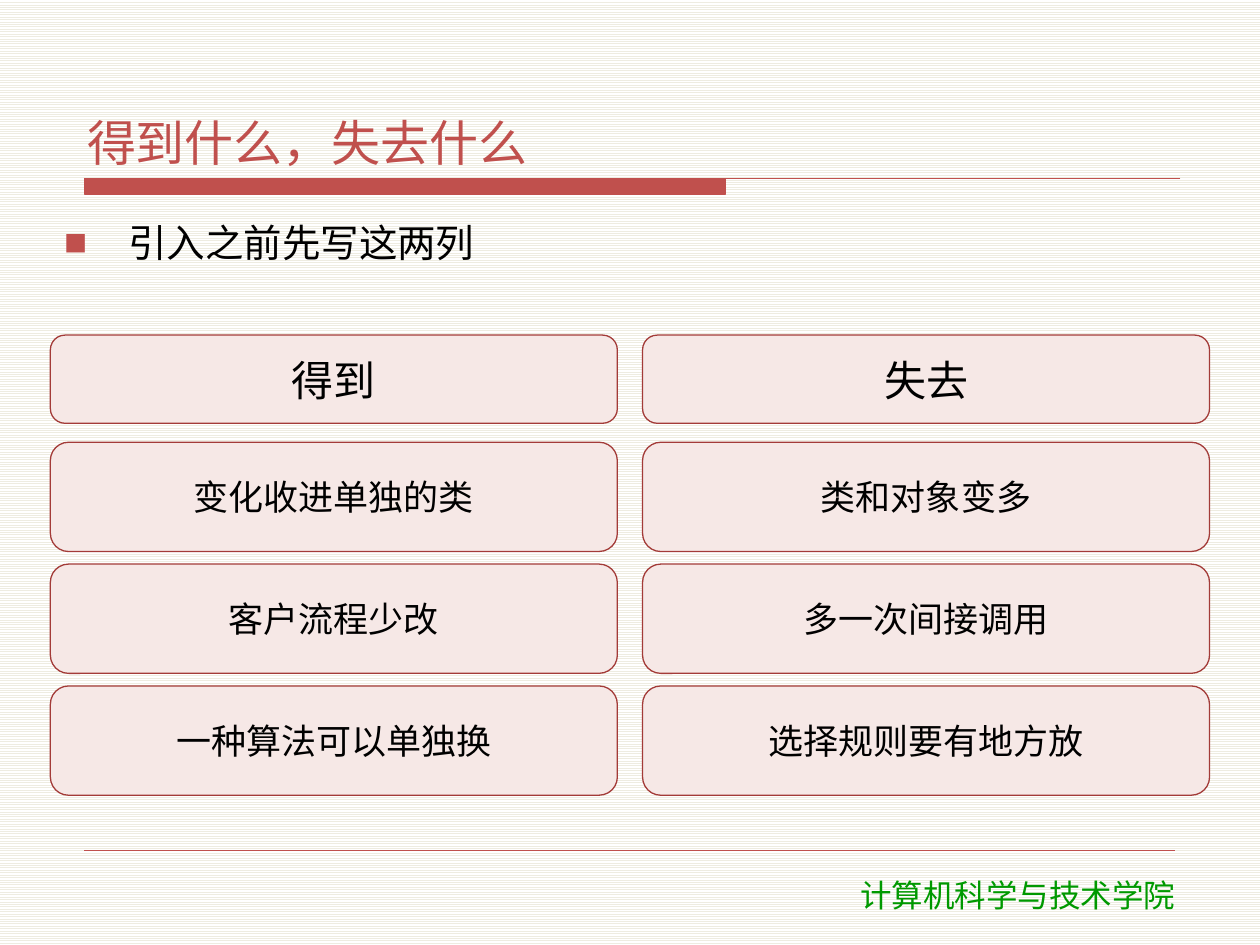
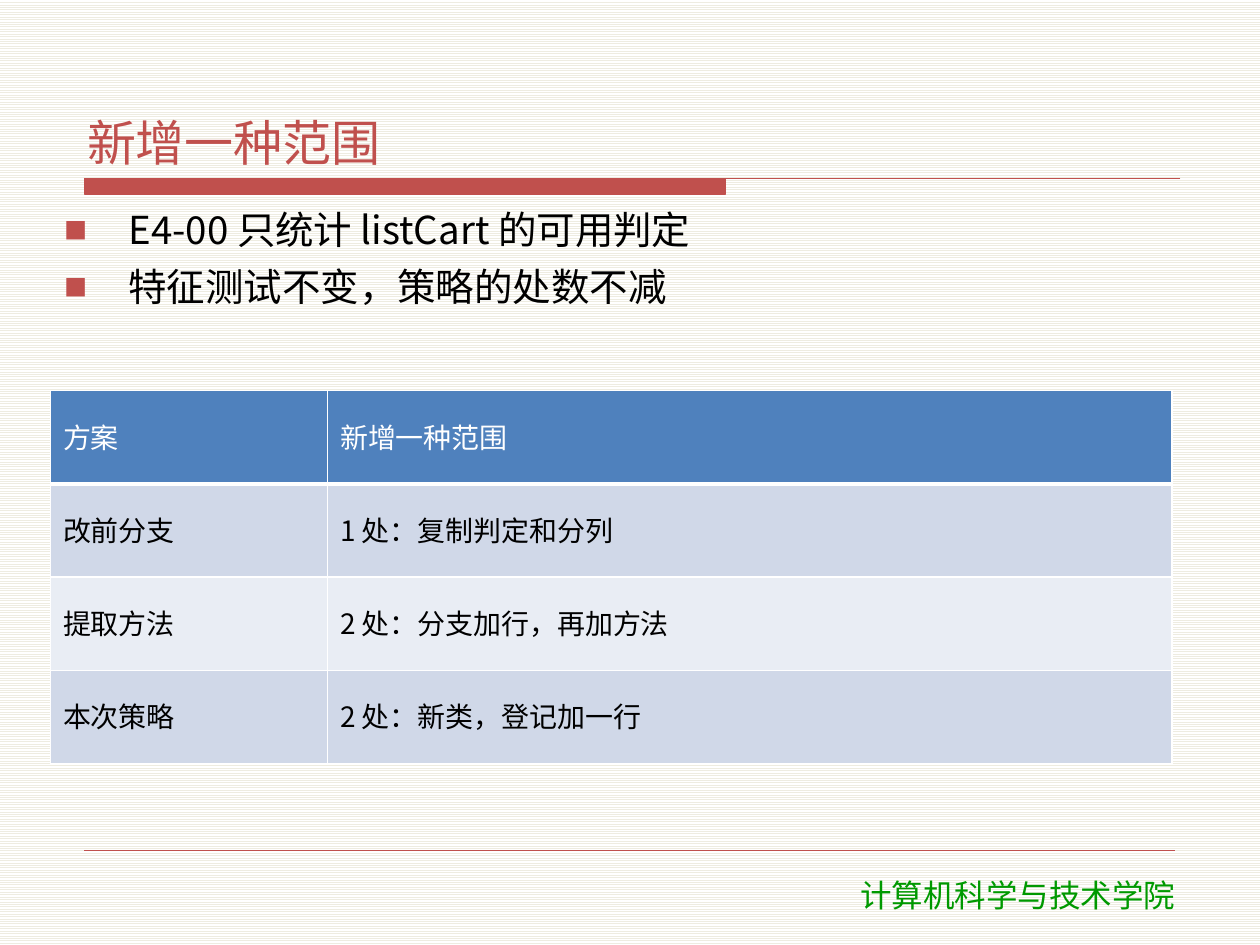
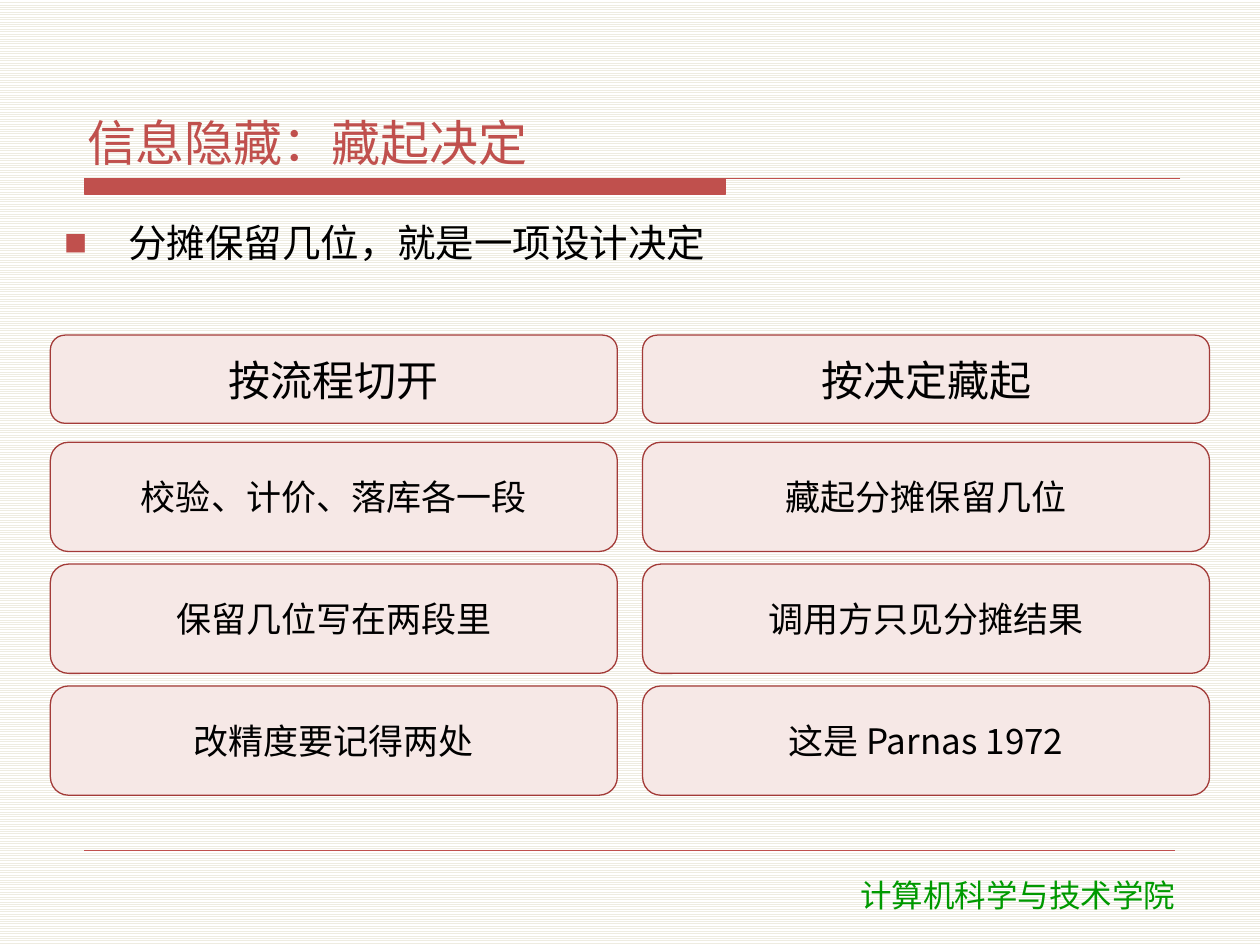
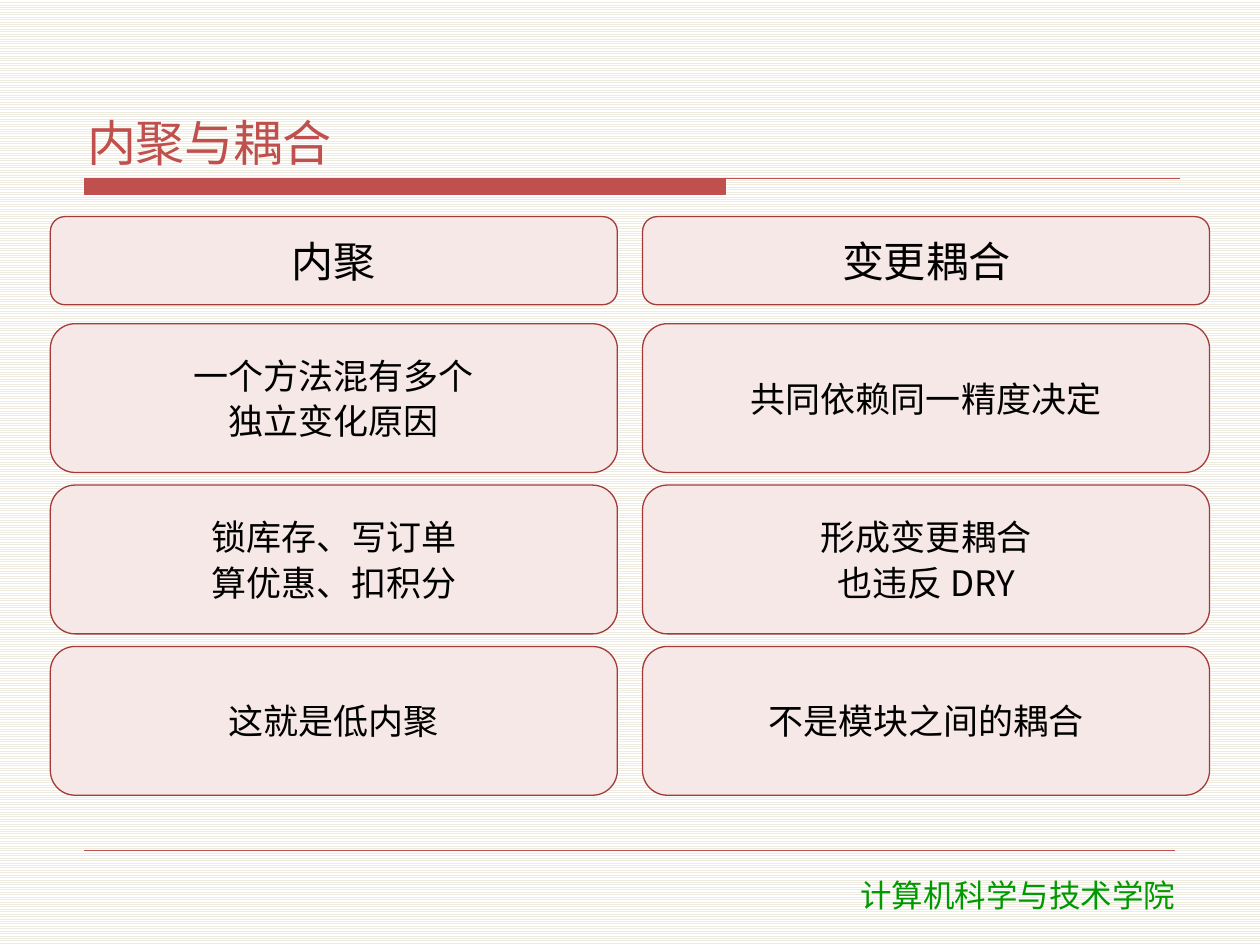
from collections import namedtuple

from lxml import etree
from pptx import Presentation
from pptx.dml.color import RGBColor
from pptx.enum.dml import MSO_PATTERN
from pptx.enum.shapes import MSO_CONNECTOR, MSO_SHAPE
from pptx.enum.text import MSO_ANCHOR, MSO_AUTO_SIZE, PP_ALIGN
from pptx.oxml.ns import qn
from pptx.util import Pt

LIGHT_HORIZONTAL = MSO_PATTERN.LIGHT_HORIZONTAL
STRAIGHT = MSO_CONNECTOR.STRAIGHT
ROUNDED = MSO_SHAPE.ROUNDED_RECTANGLE
TOP, MIDDLE, BOTTOM = MSO_ANCHOR.TOP, MSO_ANCHOR.MIDDLE, MSO_ANCHOR.BOTTOM
LEFT, CENTER = PP_ALIGN.LEFT, PP_ALIGN.CENTER
FIT_SHAPE = MSO_AUTO_SIZE.SHAPE_TO_FIT_TEXT

COLORS = {
    "accent": "C0504D",
    "stripe": "EEECE1",
    "white": "FFFFFF",
    "black": "000000",
    "footer": "009900",
    "card": "F6E8E6",
    "card_line": "A33B38",
    "table_head": "4F81BD",
    "row_odd": "D0D8E8",
    "row_even": "E9EDF4",
}
BODY_FONT = "Noto Sans CJK SC"
FOOTER_FONT = "DejaVu Sans"

Box = namedtuple("Box", "left top width height")
PAGE_BOX = Box(0, 0, 720, 540)
TITLE_BOX = Box(45.4, 23.8, 630, 75.6)
BAND_BOX = Box(48.2, 102.2, 626.4, 8.6)
BAND_BAR_WIDTH = 366.5
FOOTER_RULE = Box(48.2, 486, 623.5, 0)
FOOTER_BOX = Box(437, 496.8, 289.4, 28.8)
ONE_BULLET_BOX = Box(32.4, 123.8, 655.2, 61.9)
TWO_BULLET_BOX = Box(32.4, 116.6, 655.2, 100.8)
LOW_CARDS_BOX = Box(28.8, 191.5, 662.4, 262.9)
HIGH_CARDS_BOX = Box(28.8, 123.8, 662.4, 330.6)
TABLE_BOX = Box(28.8, 223.2, 640.8, 213.2)
TABLE_COLUMNS = (158.4, 482.4)


def color(name):
    return RGBColor.from_string(COLORS[name])


def in_points(box):
    return [Pt(length) for length in box]


def format_paragraph(para, size, color_name, align=LEFT, font_name=BODY_FONT, after=2):
    para.alignment = align
    para.space_after = Pt(after)
    for span in para.runs:
        span.font.size = Pt(size)
        span.font.name = font_name
        span.font.color.rgb = color(color_name)
        east_asian = etree.SubElement(span.font._element, qn("a:ea"))
        east_asian.set("typeface", font_name)


def fill_frame(frame, lines, size, color_name, anchor=TOP, align=LEFT):
    frame.word_wrap = True
    frame.vertical_anchor = anchor
    frame.margin_left = frame.margin_right = Pt(4.3)
    frame.margin_top = frame.margin_bottom = Pt(1.4)
    frame.text = "\n".join(lines)
    for para in frame.paragraphs:
        format_paragraph(para, size, color_name, align)


def add_bullet(para):
    properties = para._p.get_or_add_pPr()
    properties.set("marL", str(Pt(36.7)))
    properties.set("indent", str(-Pt(36.7)))
    bullet_color = etree.SubElement(properties, qn("a:buClr"))
    etree.SubElement(bullet_color, qn("a:srgbClr")).set("val", COLORS["accent"])
    etree.SubElement(properties, qn("a:buSzPct")).set("val", "60000")
    etree.SubElement(properties, qn("a:buFont")).set("typeface", BODY_FONT)
    etree.SubElement(properties, qn("a:buChar")).set("char", "■")


def add_title_band(page, box):
    """Draw a thick bar with a thin rule running on from its top edge."""
    left, top = Pt(box.left), Pt(box.top)
    bar_right, bar_bottom = Pt(box.left + BAND_BAR_WIDTH), Pt(box.top + box.height)
    builder = page.shapes.build_freeform(left, top)
    builder.add_line_segments(
        [(bar_right, top), (bar_right, bar_bottom), (left, bar_bottom)], close=True)
    builder.move_to(left, top)
    builder.add_line_segments([(Pt(box.left + box.width), top)], close=False)
    band = builder.convert_to_shape()
    band.shadow.inherit = False
    band.fill.solid()
    band.fill.fore_color.rgb = color("accent")
    band.line.color.rgb = color("accent")
    band.line.width = Pt(0.75)


def add_footer(page):
    rule = page.shapes.add_connector(
        STRAIGHT, Pt(FOOTER_RULE.left), Pt(FOOTER_RULE.top),
        Pt(FOOTER_RULE.left + FOOTER_RULE.width), Pt(FOOTER_RULE.top))
    rule.line.color.rgb = color("accent")
    rule.line.width = Pt(0.25)
    etree.SubElement(rule._element.spPr, qn("a:effectLst"))

    frame = page.shapes.add_textbox(*in_points(FOOTER_BOX)).text_frame
    frame.word_wrap = True
    frame.auto_size = FIT_SHAPE
    frame.text = "计算机科学与技术学院"
    format_paragraph(frame.paragraphs[0], 18, "footer", CENTER, FOOTER_FONT, after=0)


def add_page(deck, title):
    page = deck.slides.add_slide(deck.slide_layouts[6])
    background = page.background.fill
    background.patterned()
    background.pattern = LIGHT_HORIZONTAL
    background.fore_color.rgb = color("stripe")
    background.back_color.rgb = color("white")
    add_title_band(page, BAND_BOX)
    add_footer(page)
    title_box = page.shapes.add_textbox(*in_points(TITLE_BOX))
    fill_frame(title_box.text_frame, [title], 28, "accent", BOTTOM)
    return page


def add_bullets(page, box, lines):
    frame = page.shapes.add_textbox(*in_points(box)).text_frame
    fill_frame(frame, lines, 22, "black")
    for index, para in enumerate(frame.paragraphs):
        add_bullet(para)
        if index:
            para.space_before = Pt(4)


def add_card(page, box, text, size):
    card = page.shapes.add_shape(ROUNDED, *in_points(box))
    card.shadow.inherit = False
    card.fill.solid()
    card.fill.fore_color.rgb = color("card")
    card.line.color.rgb = color("card_line")
    card.line.width = Pt(0.75)
    fill_frame(card.text_frame, text.split("\n"), size, "black", MIDDLE, CENTER)


def add_card_columns(page, box, rows):
    """Lay out two columns: a heading row, then equal rows down to the box bottom."""
    column_gap, heading_gap, row_gap, heading_height = 14.4, 10.8, 7.2, 50.4
    width = (box.width - column_gap) / 2
    body_top = box.top + heading_height + heading_gap
    body_count = len(rows) - 1
    body_space = box.top + box.height - body_top
    body_height = (body_space - row_gap * (body_count - 1)) / body_count
    for row, texts in enumerate(rows):
        if row == 0:
            top, height, size = box.top, heading_height, 24
        else:
            top = body_top + (row - 1) * (body_height + row_gap)
            height, size = body_height, 20
        for column, text in enumerate(texts):
            left = box.left + column * (width + column_gap)
            add_card(page, Box(left, top, width, height), text, size)


def add_cell_borders(cell, bottom_width):
    properties = cell._tc.get_or_add_tcPr()
    for side, width in (("L", 1), ("R", 1), ("T", 1), ("B", bottom_width)):
        border = etree.SubElement(properties, qn(f"a:ln{side}"))
        border.set("w", str(Pt(width)))
        fill = etree.SubElement(border, qn("a:solidFill"))
        etree.SubElement(fill, qn("a:srgbClr")).set("val", COLORS["white"])


def add_comparison_table(page, box, rows):
    frame = page.shapes.add_table(len(rows), len(TABLE_COLUMNS), *in_points(box))
    table = frame.table
    for column, width in zip(table.columns, TABLE_COLUMNS):
        column.width = Pt(width)
    for index, texts in enumerate(rows):
        is_head = index == 0
        table.rows[index].height = Pt(box.height / len(rows))
        if is_head:
            fill_name, text_color = "table_head", "white"
        else:
            fill_name, text_color = "row_odd" if index % 2 else "row_even", "black"
        for column, text in enumerate(texts):
            cell = table.cell(index, column)
            add_cell_borders(cell, 3 if is_head else 1)
            cell.fill.solid()
            cell.fill.fore_color.rgb = color(fill_name)
            cell.vertical_anchor = MIDDLE
            cell.text_frame.text = text
            para = cell.text_frame.paragraphs[0]
            para.line_spacing = 0.9
            format_paragraph(para, 16, text_color)
            para.runs[0].font.bold = False


def main():
    deck = Presentation()
    deck.slide_width, deck.slide_height = Pt(PAGE_BOX.width), Pt(PAGE_BOX.height)

    page = add_page(deck, "得到什么，失去什么")
    add_bullets(page, ONE_BULLET_BOX, ["引入之前先写这两列"])
    add_card_columns(page, LOW_CARDS_BOX, [
        ("得到", "失去"),
        ("变化收进单独的类", "类和对象变多"),
        ("客户流程少改", "多一次间接调用"),
        ("一种算法可以单独换", "选择规则要有地方放"),
    ])

    page = add_page(deck, "新增一种范围")
    add_bullets(page, TWO_BULLET_BOX, [
        "E4-00 只统计 listCart 的可用判定",
        "特征测试不变，策略的处数不减",
    ])
    add_comparison_table(page, TABLE_BOX, [
        ("方案", "新增一种范围"),
        ("改前分支", "1 处：复制判定和分列"),
        ("提取方法", "2 处：分支加行，再加方法"),
        ("本次策略", "2 处：新类，登记加一行"),
    ])

    page = add_page(deck, "信息隐藏：藏起决定")
    add_bullets(page, ONE_BULLET_BOX, ["分摊保留几位，就是一项设计决定"])
    add_card_columns(page, LOW_CARDS_BOX, [
        ("按流程切开", "按决定藏起"),
        ("校验、计价、落库各一段", "藏起分摊保留几位"),
        ("保留几位写在两段里", "调用方只见分摊结果"),
        ("改精度要记得两处", "这是 Parnas 1972"),
    ])

    page = add_page(deck, "内聚与耦合")
    add_card_columns(page, HIGH_CARDS_BOX, [
        ("内聚", "变更耦合"),
        ("一个方法混有多个\n独立变化原因", "共同依赖同一精度决定"),
        ("锁库存、写订单\n算优惠、扣积分", "形成变更耦合\n也违反 DRY"),
        ("这就是低内聚", "不是模块之间的耦合"),
    ])

    deck.save("out.pptx")


if __name__ == "__main__":
    main()
